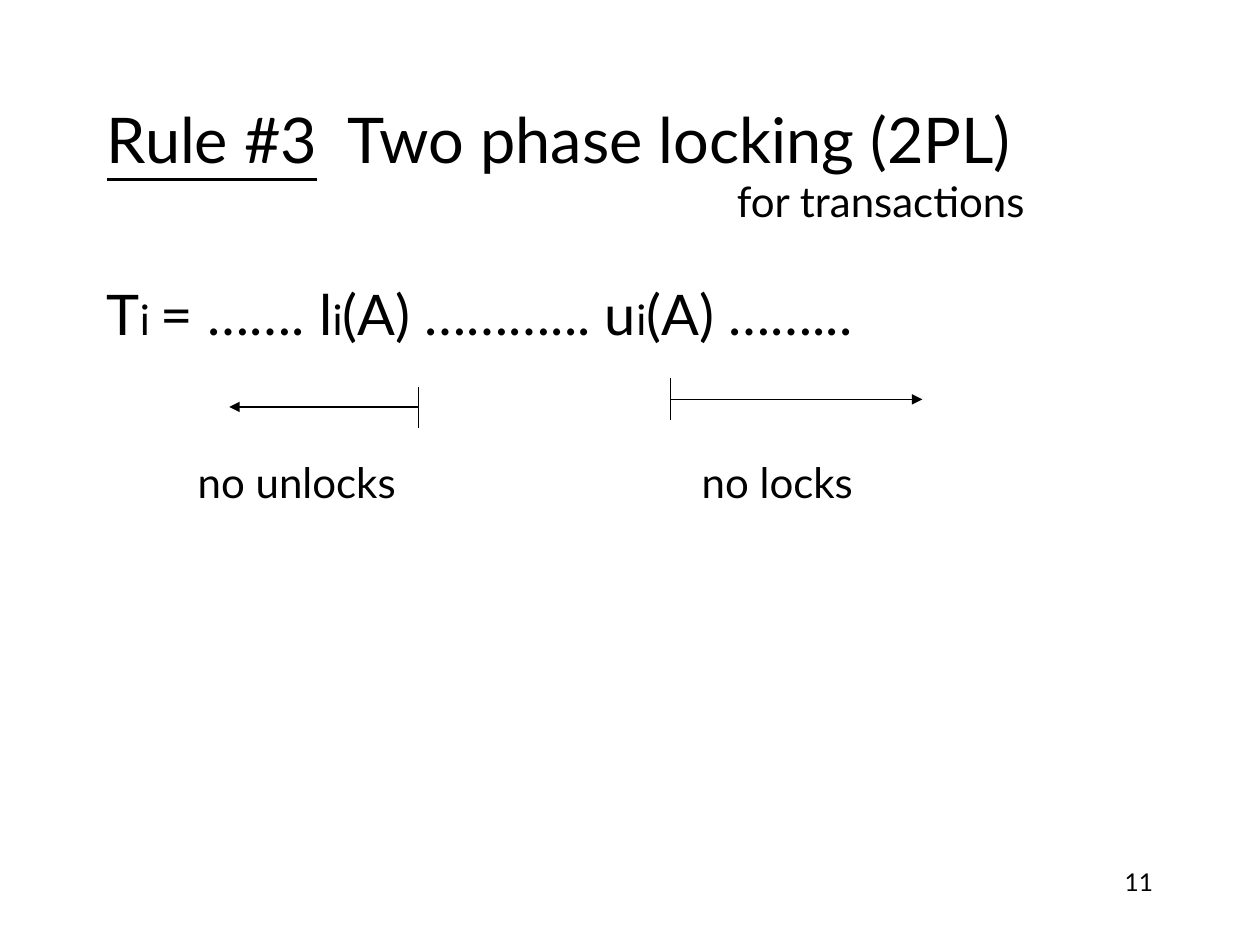
from dataclasses import dataclass

import pptx
import pptx.dml.color
import pptx.enum.shapes
import pptx.enum.text
import pptx.oxml.ns
import pptx.util
from lxml import etree

Inches = pptx.util.Inches
Pt = pptx.util.Pt
Anchor = pptx.enum.text.MSO_ANCHOR
Align = pptx.enum.text.PP_ALIGN


@dataclass(frozen=True)
class Theme:
    font: str = "Lato"
    ink: pptx.dml.color.RGBColor = pptx.dml.color.RGBColor(0, 0, 0)
    title: int = 36
    schedule: int = 32
    label: int = 24
    page_number: int = 14
    line: float = 0.75


@dataclass(frozen=True)
class Span:
    text: str
    size: int
    underline: bool = False


@dataclass(frozen=True)
class Box:
    left: float
    top: float
    width: float
    height: float
    lines: tuple[tuple[Span, ...], ...]
    anchor: Anchor = Anchor.TOP
    align: Align = Align.LEFT
    tab: float | None = None


@dataclass(frozen=True)
class Phase:
    """A stretch of the schedule, from a lock or unlock to the arrow's tip."""
    start: float
    tip: float
    y: float
    bar_top: float


THEME = Theme()
BAR_HEIGHT = 0.33

BOXES = (
    Box(0.75, 0.67, 8.5, 1.25, (
        (Span("Rule #3", THEME.title, underline=True),
         Span("  Two phase locking (2PL)", THEME.title)),
        (Span("\tfor transactions", THEME.label),),
    ), anchor=Anchor.MIDDLE, tab=5),
    Box(0.75, 2.17, 8.5, 4.5, ((
        Span("T", THEME.schedule), Span("i ", THEME.label),
        Span("= ……. l", THEME.schedule), Span("i", THEME.label),
        Span("(A) ………... u", THEME.schedule), Span("i", THEME.label),
        Span("(A) ……...", THEME.schedule),
    ),)),
    Box(1.47, 3.57, 5.48, 0.5, (
        (Span("no unlocks\tno locks", THEME.label),),
    ), anchor=Anchor.MIDDLE, tab=4),
    Box(7.17, 6.83, 2.08, 0.5, (
        (Span("11", THEME.page_number),),
    ), align=Align.RIGHT),
)

PHASES = (
    Phase(start=3.32, tip=1.82, y=3.23, bar_top=3.07),
    Phase(start=5.32, tip=7.32, y=3.17, bar_top=3.0),
)


def add_child(parent: etree._Element, tag: str, **attributes: str) -> etree._Element:
    return etree.SubElement(parent, pptx.oxml.ns.qn(tag), **attributes)


def draw_box(slide: pptx.slide.Slide, box: Box) -> None:
    frame = slide.shapes.add_textbox(
        Inches(box.left), Inches(box.top), Inches(box.width), Inches(box.height)
    ).text_frame
    frame.word_wrap = True
    frame.vertical_anchor = box.anchor
    paragraph = frame.paragraphs[0]
    paragraph.alignment = box.align
    if box.tab is not None:
        stops = add_child(paragraph._p.get_or_add_pPr(), "a:tabLst")
        add_child(stops, "a:tab", pos=str(Inches(box.tab)), algn="l")
    for index, line in enumerate(box.lines):
        if index:
            paragraph.add_line_break()
        for span in line:
            run = paragraph.add_run()
            run.text = span.text
            run.font.name = THEME.font
            run.font.size = Pt(span.size)
            run.font.color.rgb = THEME.ink
            run.font.underline = span.underline


def draw_line(slide: pptx.slide.Slide, x1: float, y1: float,
              x2: float, y2: float, arrow: bool = False) -> None:
    connector = slide.shapes.add_connector(
        pptx.enum.shapes.MSO_CONNECTOR.STRAIGHT,
        Inches(x1), Inches(y1), Inches(x2), Inches(y2),
    )
    connector.line.color.rgb = THEME.ink
    connector.line.width = Pt(THEME.line)
    if arrow:
        add_child(connector.line._get_or_add_ln(), "a:tailEnd", type="triangle")
    add_child(connector._element.spPr, "a:effectLst")


def draw_phase(slide: pptx.slide.Slide, phase: Phase) -> None:
    draw_line(slide, phase.start, phase.y, phase.tip, phase.y, arrow=True)
    draw_line(slide, phase.start, phase.bar_top,
              phase.start, phase.bar_top + BAR_HEIGHT)


def main() -> None:
    deck = pptx.Presentation()
    deck.slide_width, deck.slide_height = Inches(10), Inches(7.5)
    slide = deck.slides.add_slide(deck.slide_layouts[6])
    for box in BOXES:
        draw_box(slide, box)
    for phase in PHASES:
        draw_phase(slide, phase)
    deck.save("out.pptx")


if __name__ == "__main__":
    main()
